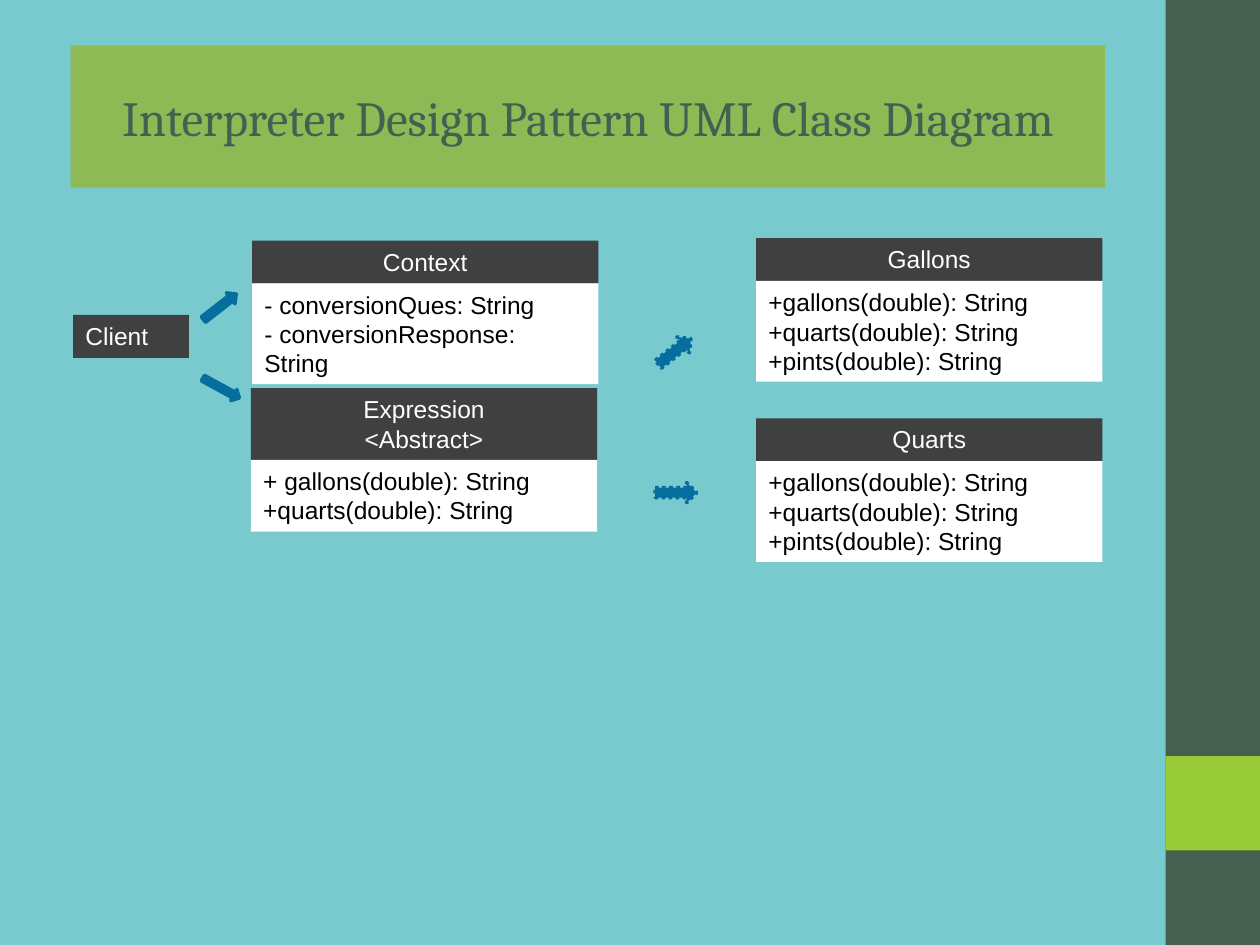
"""Build the Interpreter design pattern class diagram slide."""
from pptx import Presentation
from pptx.dml.color import RGBColor
from pptx.enum.dml import MSO_LINE
from pptx.enum.shapes import MSO_SHAPE
from pptx.enum.text import MSO_ANCHOR, MSO_AUTO_SIZE, PP_ALIGN
from pptx.util import Inches, Pt

RECT = MSO_SHAPE.RECTANGLE
ARROW = MSO_SHAPE.RIGHT_ARROW
DOTS = MSO_LINE.ROUND_DOT
MIDDLE = MSO_ANCHOR.MIDDLE
TOP = MSO_ANCHOR.TOP
GROW = MSO_AUTO_SIZE.SHAPE_TO_FIT_TEXT
FIXED = MSO_AUTO_SIZE.NONE
LEFT = PP_ALIGN.LEFT
CENTER = PP_ALIGN.CENTER

AQUA = RGBColor(0x78, 0xCA, 0xCF)
PINE = RGBColor(0x45, 0x5F, 0x51)
LIME = RGBColor(0x99, 0xCB, 0x38)
MOSS = RGBColor(0x8D, 0xBA, 0x55)
DARK = RGBColor(0x40, 0x40, 0x40)
WHITE = RGBColor(0xFF, 0xFF, 0xFF)
BLACK = RGBColor(0x00, 0x00, 0x00)
BLUE = RGBColor(0x06, 0x6E, 0x9F)

WIDE = 2.75
UNITS = ["+gallons(double): String", "+quarts(double): String", "+pints(double): String"]
CLASSES = [
    (2, 1.91, 0.34, ["Context"], 0.8,
     ["- conversionQues: String", "- conversionResponse: String"]),
    (1.99, 3.08, 0.57, ["Expression", "<Abstract>"], 0.57,
     ["+ gallons(double): String", "+quarts(double): String"]),
    (6, 1.89, 0.34, ["Gallons"], 0.8, UNITS),
    (6, 3.32, 0.34, ["Quarts"], 0.8, UNITS),
]
ARROWS = [
    (1.58, 2.38, 0.11, 322, None),
    (1.59, 3.03, 0.1, 28.7, None),
    (5.19, 2.71, 0.16, 322, DOTS),
    (5.2, 3.83, 0.16, 0, DOTS),
]


def paint(shape, color):
    """Fill a shape with one colour."""
    shape.fill.solid()
    shape.fill.fore_color.rgb = color


def add_run(para, text, face, size, color):
    """Add one formatted run to a paragraph."""
    run = para.add_run()
    run.text = text
    run.font.name = face
    run.font.size = Pt(size)
    run.font.color.rgb = color


def add_band(slide, top, height):
    """Add a part of the right-hand side bar."""
    band = slide.shapes.add_shape(RECT, Inches(9.25), Inches(top), Inches(0.75), Inches(height))
    band.shadow.inherit = False
    band.line.fill.background()
    return band


def set_title(slide, text):
    """Place and format the title."""
    title = slide.shapes.title
    title.left, title.top = Inches(0.56), Inches(0.36)
    title.width, title.height = Inches(8.21), Inches(1.13)
    paint(title, MOSS)
    frame = title.text_frame
    frame.auto_size = FIXED
    frame.vertical_anchor = MIDDLE
    para = frame.paragraphs[0]
    para.alignment = CENTER
    add_run(para, text, "Cambria", 28, PINE)


def add_box(slide, left, top, width, height, lines, fill, color, align=LEFT):
    """Add a filled box with one paragraph per line."""
    box = slide.shapes.add_textbox(Inches(left), Inches(top), Inches(width), Inches(height))
    paint(box, fill)
    frame = box.text_frame
    frame.word_wrap = True
    frame.auto_size = GROW
    frame.vertical_anchor = TOP
    for index, line in enumerate(lines):
        para = frame.add_paragraph() if index else frame.paragraphs[0]
        para.alignment = align
        add_run(para, line, "Arial", 14, color)


def add_class(slide, left, top, head, name, body, members):
    """Add a class as a name box above a member box."""
    add_box(slide, left, top, WIDE, head, name, DARK, WHITE, CENTER)
    add_box(slide, left, top + head, WIDE, body, members, WHITE, BLACK)


def add_arrow(slide, left, top, height, angle, dash):
    """Add a block arrow turned by an angle."""
    arrow = slide.shapes.add_shape(ARROW, Inches(left), Inches(top), Inches(0.33), Inches(height))
    arrow.shadow.inherit = False
    arrow.rotation = angle
    paint(arrow, BLUE)
    arrow.line.color.rgb = BLUE
    arrow.line.width = Pt(2)
    if dash:
        arrow.line.dash_style = dash


def main():
    """Build and save the slide."""
    deck = Presentation()
    deck.slide_width, deck.slide_height = Inches(10), Inches(7.5)
    slide = deck.slides.add_slide(deck.slide_layouts[5])
    paint(slide.background, AQUA)
    paint(add_band(slide, 0, 7.5), PINE)
    paint(add_band(slide, 6, 0.75), LIME)
    set_title(slide, "Interpreter Design Pattern UML Class Diagram")
    add_box(slide, 0.58, 2.5, 0.92, 0.34, ["Client"], DARK, WHITE)
    for item in CLASSES:
        add_class(slide, *item)
    for item in ARROWS:
        add_arrow(slide, *item)
    deck.save("out.pptx")


if __name__ == "__main__":
    main()
